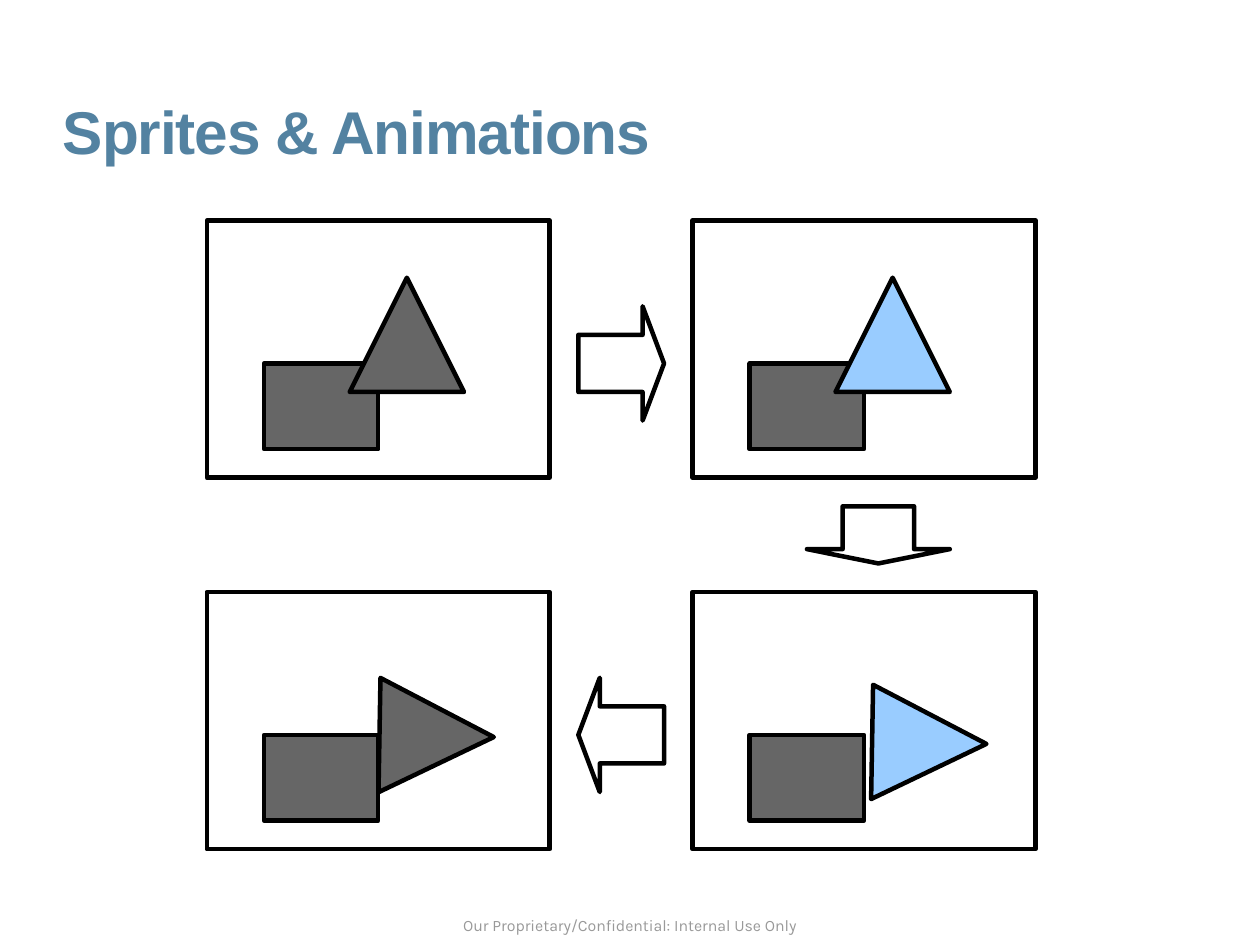
import pptx
import pptx.dml.color
import pptx.enum.shapes
import pptx.enum.text
import pptx.oxml.ns
import pptx.util
from lxml import etree

Inches = pptx.util.Inches
SHAPE = pptx.enum.shapes.MSO_SHAPE
ALIGN = pptx.enum.text.PP_ALIGN

CM_PER_INCH = 2.54
COLORS = {
    "title": "5382A1",
    "footer": "999999",
    "line": "000000",
    "grey": "666666",
    "blue": "99CCFF",
}


def rgb(name):
    return pptx.dml.color.RGBColor.from_string(COLORS[name])


def write(tf, text, font="Arial", size=10, color="line", bold=False,
          align=ALIGN.LEFT, line_spacing=1.0, tracking=0):
    p = tf.paragraphs[0]
    p.alignment = align
    p.line_spacing = line_spacing
    r = p.add_run()
    r.text = text
    r.font.name = font
    r.font.size = pptx.util.Pt(size)
    r.font.bold = bold
    r.font.color.rgb = rgb(color)
    if tracking:
        r.font._element.set("spc", str(tracking))


class Deck:
    line_width = pptx.util.Pt(2.83)

    def __init__(self, width, height):
        self.prs = pptx.Presentation()
        self.prs.slide_width = Inches(width)
        self.prs.slide_height = Inches(height)
        self.s = self.prs.slides.add_slide(self.prs.slide_layouts[6])

    def text(self, x, y, w, h, text, **style):
        sp = self.s.shapes.add_textbox(Inches(x), Inches(y), Inches(w), Inches(h))
        tf = sp.text_frame
        tf.word_wrap = True
        tf.margin_left = tf.margin_right = tf.margin_top = tf.margin_bottom = 0
        write(tf, text, **style)

    def shape(self, kind, x, y, w, h, fill=None, rotation=0, adjust=()):
        sp = self.s.shapes.add_shape(kind, Inches(x), Inches(y), Inches(w), Inches(h))
        sp.shadow.inherit = False
        sp.rotation = rotation
        for i, value in enumerate(adjust):
            sp.adjustments[i] = value
        if fill:
            sp.fill.solid()
            sp.fill.fore_color.rgb = rgb(fill)
        else:
            sp.fill.background()
        sp.line.color.rgb = rgb("line")
        sp.line.width = self.line_width
        etree.SubElement(sp.line._get_or_add_ln(), pptx.oxml.ns.qn("a:round"))

    def frame(self, x, y, color, dx, dy, rotation):
        self.shape(SHAPE.RECTANGLE, x, y, 3, 2.25)
        self.shape(SHAPE.RECTANGLE, x + 0.5, y + 1.25, 1, 0.75, fill="grey")
        self.shape(SHAPE.ISOSCELES_TRIANGLE, x + dx, y + dy, 1, 1,
                   fill=color, rotation=rotation)

    def arrow(self, kind, x, y, w, h):
        self.shape(kind, x, y, w, h, adjust=(0.5, 0.25))


def main():
    deck = Deck(28 / CM_PER_INCH, 21 / CM_PER_INCH)
    deck.text(3.38, 8.01, 4.26, 0.25,
              "Our Proprietary/Confidential: Internal Use Only",
              font="Karla", color="footer", align=ALIGN.CENTER)
    deck.text(0.55, 0.9, 10.01, 0.77, "Sprites & Animations", size=38,
              color="title", bold=True, line_spacing=0.9, tracking=-70)

    left, right = 1.81, 6.06
    top, bottom = 1.93, 5.18
    for x, y, color, dx, dy, rotation in (
        (left, top, "grey", 1.25, 0.5, 0),
        (right, top, "blue", 1.25, 0.5, 0),
        (right, bottom, "blue", 1.57, 0.82, 91),
        (left, bottom, "grey", 1.51, 0.76, 91),
    ):
        deck.frame(x, y, color, dx, dy, rotation)

    deck.arrow(SHAPE.RIGHT_ARROW, left + 3.25, top + 0.75, 0.75, 1)
    deck.arrow(SHAPE.DOWN_ARROW, right + 1, top + 2.5, 1.25, 0.5)
    deck.arrow(SHAPE.LEFT_ARROW, left + 3.25, bottom + 0.75, 0.75, 1)

    deck.prs.save("out.pptx")


if __name__ == "__main__":
    main()
